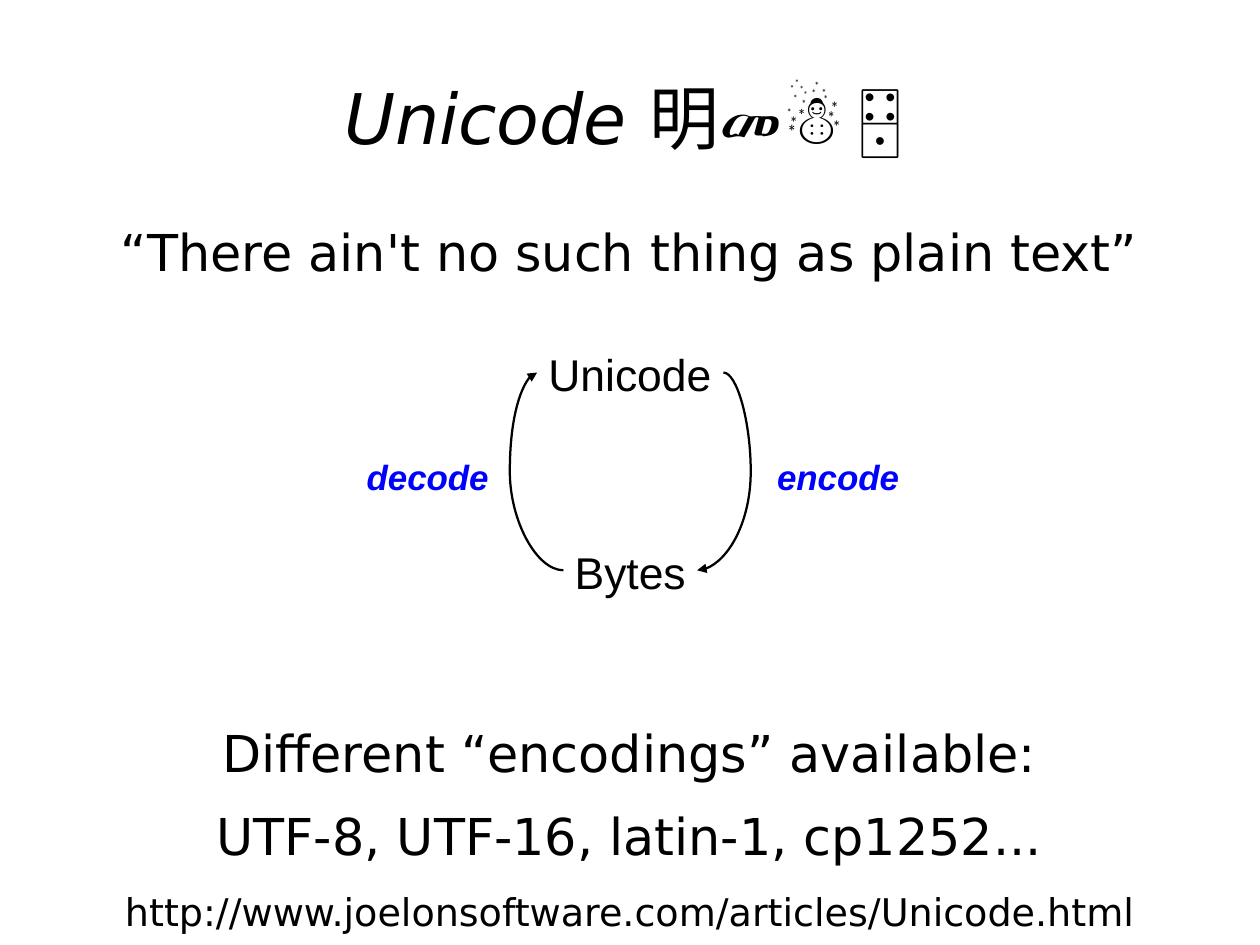
from lxml import etree
from pptx import Presentation
from pptx.dml.color import RGBColor
from pptx.enum.shapes import MSO_CONNECTOR
from pptx.enum.text import MSO_ANCHOR, MSO_AUTO_SIZE, PP_ALIGN
from pptx.oxml.ns import qn
from pptx.util import Inches, Pt

CENTER, LEFT = PP_ALIGN.CENTER, PP_ALIGN.LEFT
MIDDLE = MSO_ANCHOR.MIDDLE
NO_FIT = MSO_AUTO_SIZE.NONE
CURVE = MSO_CONNECTOR.CURVE
BLACK = RGBColor(0x00, 0x00, 0x00)
BLUE = RGBColor(0x00, 0x00, 0xFF)
SANS, CJK, LABEL_FONT = "DejaVu Sans", "Noto Sans CJK SC", "Arial"
CM_PER_INCH = 2.54

# Content: title runs as (text, font, italic)
TITLE = [
    ("Unicode ", SANS, True),
    ("明", CJK, False),
    ("መ☃", SANS, False),
    ("🂀", "Cambria", False),
]
# Statements as (text, size, space after); the first leaves room for the cycle
STATEMENTS = [
    ("“There ain't no such thing as plain text”", 32, 277),
    ("Different “encodings” available:", 32, 14.2),
    ("UTF-8, UTF-16, latin-1, cp1252...", 32, 14.2),
    ("http://www.joelonsoftware.com/articles/Unicode.html", 24, 0),
]
# Cycle: (text, left, top, width, height)
STATES = [
    ("Unicode", 4.7, 2.99, 1.63, 0.53),
    ("Bytes", 4.93, 4.72, 1.17, 0.53),
]
ACTIONS = [
    ("encode", 6.7, 3.94, 1.49, 0.44),
    ("decode", 3.11, 3.94, 1.3, 0.44),
]
# Arrows: (start, end, bend as a share of the width)
ARROWS = [
    ((6.33, 3.26), (6.1, 4.99), -1.04),
    ((4.93, 4.99), (4.7, 3.26), 2.04),
]


def style(run, font, size, color=BLACK, bold=False, italic=False):
    run.font.size = Pt(size)
    run.font.bold, run.font.italic = bold, italic
    run.font.color.rgb = color
    run.font.name = font
    for script, typeface in (("a:ea", CJK), ("a:cs", font)):
        etree.SubElement(run.font._element, qn(script)).set("typeface", typeface)


def clear_margins(frame):
    frame.margin_left = frame.margin_right = 0
    frame.margin_top = frame.margin_bottom = 0


def add_label(slide, label, size, color=BLACK, emphasis=False):
    text, *place = label
    frame = slide.shapes.add_textbox(*map(Inches, place)).text_frame
    frame.word_wrap = emphasis
    frame.text = text
    frame.paragraphs[0].alignment = LEFT
    style(frame.paragraphs[0].runs[0], LABEL_FONT, size, color, emphasis, emphasis)


def add_arrow(slide, start, end, bend):
    arrow = slide.shapes.add_connector(CURVE, *map(Inches, start + end))
    arrow.line.color.rgb = BLACK
    arrow.line.width = Pt(1.42)
    properties = arrow._element.spPr
    guides = properties.find(qn("a:prstGeom")).get_or_add_avLst()
    guide = etree.SubElement(guides, qn("a:gd"))
    guide.set("name", "adj1")
    guide.set("fmla", f"val {round(bend * 100000)}")
    outline = properties.find(qn("a:ln"))
    etree.SubElement(outline, qn("a:tailEnd")).set("type", "triangle")
    etree.SubElement(properties, qn("a:effectLst"))


def main():
    # Slide of 28 by 21 centimetres
    deck = Presentation()
    deck.slide_width = Inches(28 / CM_PER_INCH)
    deck.slide_height = Inches(21 / CM_PER_INCH)
    slide = deck.slides.add_slide(deck.slide_layouts[5])

    # Title
    title = slide.shapes.title
    title.left, title.top = Inches(0.55), Inches(0.33)
    title.width, title.height = Inches(9.92), Inches(1.38)
    heading = title.text_frame
    clear_margins(heading)
    heading.vertical_anchor = MIDDLE
    heading.auto_size = NO_FIT
    heading.paragraphs[0].alignment = CENTER
    for text, font, italic in TITLE:
        run = heading.paragraphs[0].add_run()
        run.text = text
        style(run, font, 44, italic=italic)

    # Statements above and below the cycle
    body = slide.shapes.add_textbox(
        Inches(0.55), Inches(1.93), Inches(9.92), Inches(5.86)).text_frame
    clear_margins(body)
    body.word_wrap = True
    body.text = "\n".join(text for text, _, _ in STATEMENTS)
    for paragraph, (_, size, gap) in zip(body.paragraphs, STATEMENTS):
        paragraph.alignment = CENTER
        paragraph.space_after = Pt(gap)
        style(paragraph.runs[0], SANS, size)

    # Encode and decode cycle
    for state in STATES:
        add_label(slide, state, 28)
    for arrow in ARROWS:
        add_arrow(slide, *arrow)
    for action in ACTIONS:
        add_label(slide, action, 22, BLUE, emphasis=True)

    deck.save("out.pptx")


if __name__ == "__main__":
    main()
